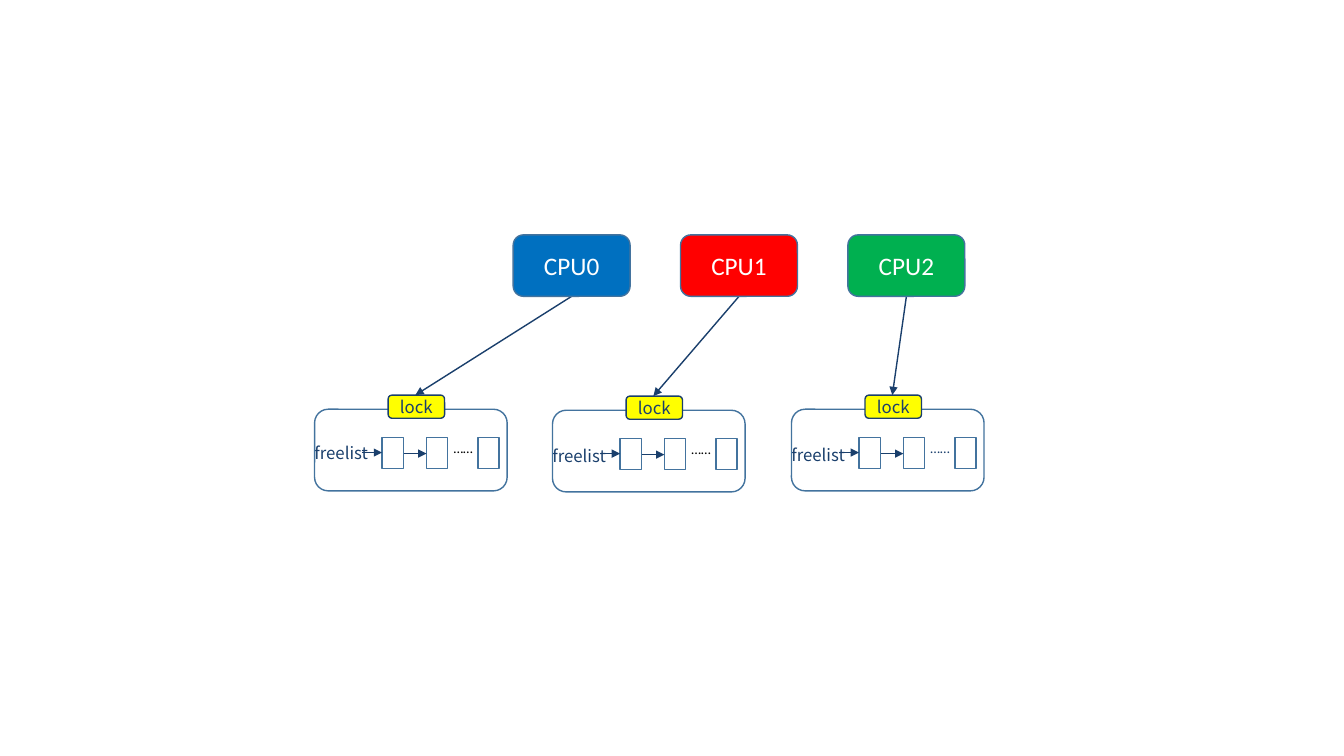
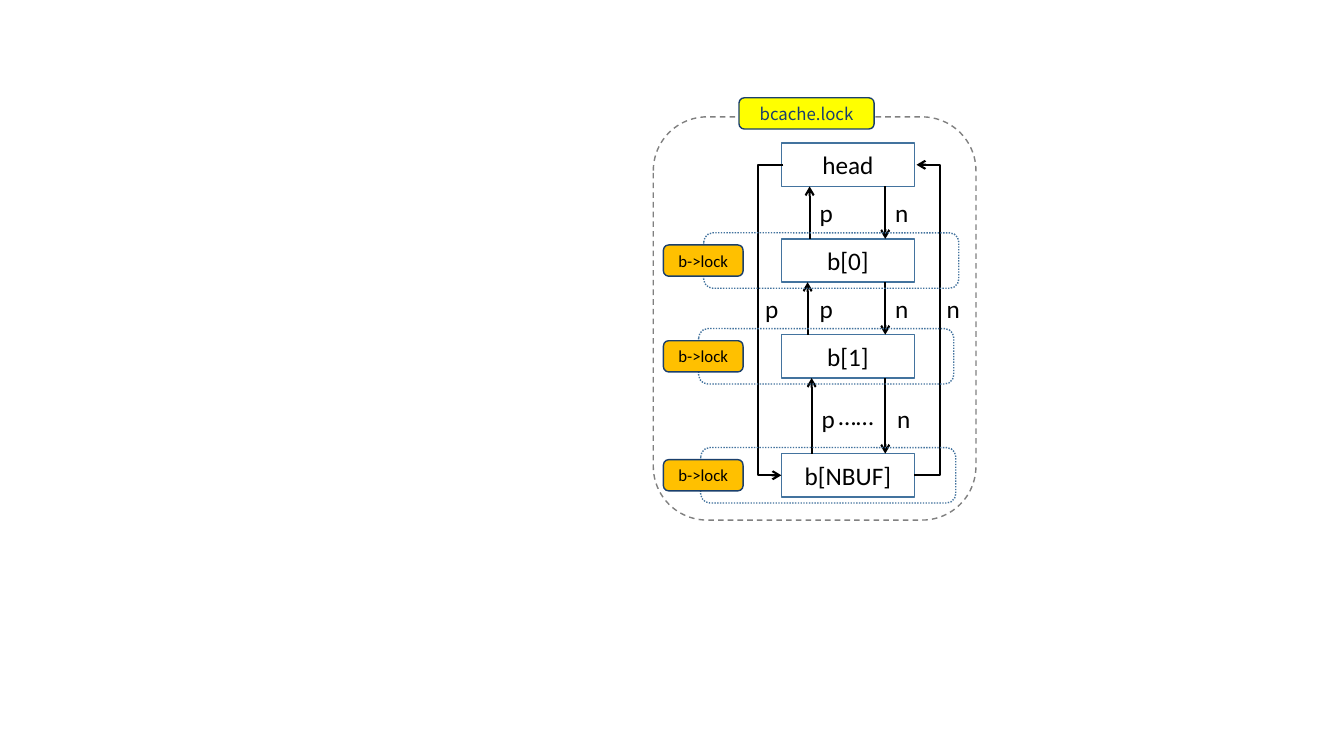
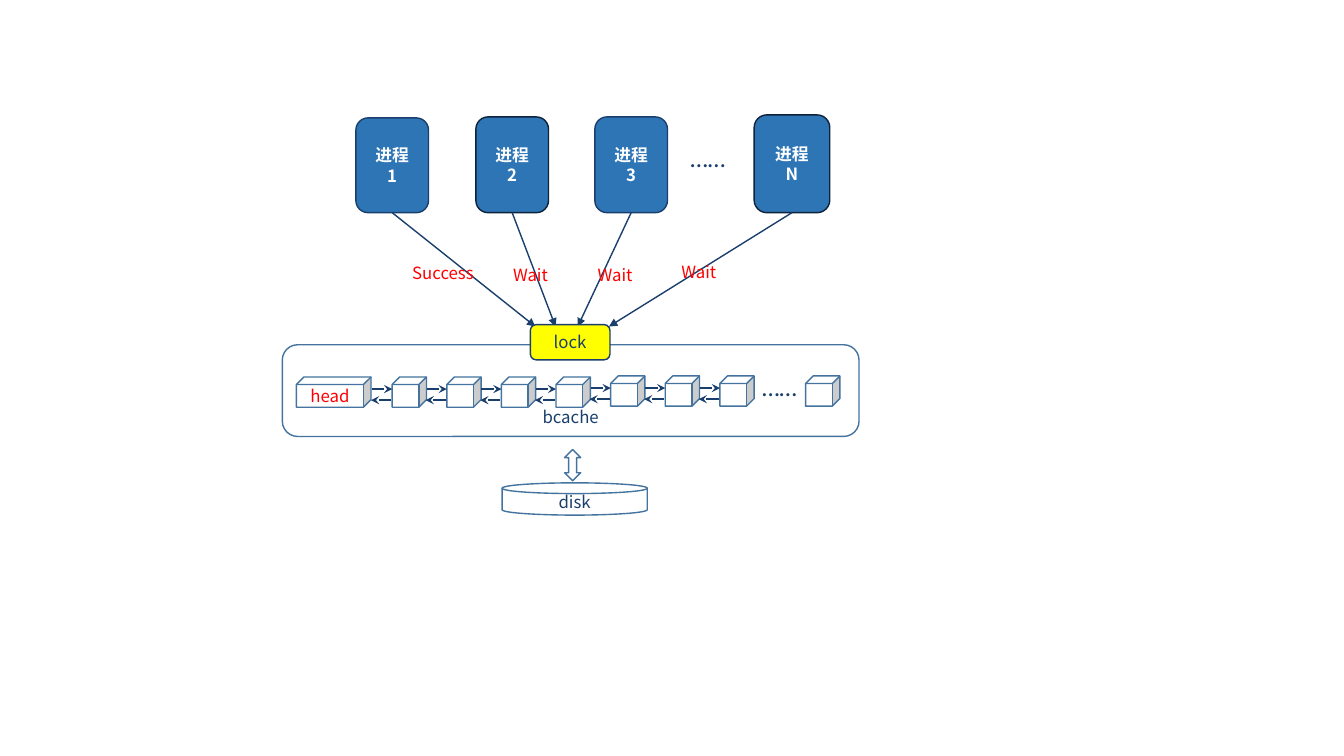
"""Three diagrams of locking: per-CPU free lists, buffer cache list, and contention on one lock."""
from lxml.etree import SubElement
from pptx import Presentation
from pptx.dml.color import RGBColor
from pptx.enum.dml import MSO_LINE
from pptx.enum.shapes import MSO_CONNECTOR, MSO_SHAPE
from pptx.enum.text import MSO_ANCHOR, PP_ALIGN
from pptx.oxml.ns import qn
from pptx.util import Inches, Pt

COLORS = {
    "white": "FFFFFF", "black": "000000", "navy": "1A3F6C", "edge": "43739E",
    "gray": "808080", "yellow": "FFFF00", "orange": "FFC000", "red": "FF0000",
    "blue": "0070C0", "green": "00B050", "process": "2E75B6", "dark": "0E223A",
}
LATIN, CJK = "Calibri", "Noto Sans CJK SC"
NOTE = (12, CJK, "navy")
ALERT = (12, CJK, "red")
NODE = (18, LATIN, "black")
DOTS = (18, LATIN, "navy")

CPUS = [("CPU0", "blue"), ("CPU1", "red"), ("CPU2", "green")]
CPU_LEFT, CPU_TOP, CPU_PITCH, CPU_W, CPU_H = 5.09, 2.33, 1.66, 1.16, 0.61
LANES = [(3.12, 4.06, 0.28, "black"), (5.48, 4.07, 0.3, "black"), (7.85, 4.06, 0.3, "navy")]

NODES = [("head", 1.42), ("b[0]", 2.37), ("b[1]", 3.32), ("b[NBUF]", 4.5)]
NODE_LEFT, NODE_W, NODE_H = 7.75, 1.32, 0.43
PREV_X, NEXT_X = (8.03, 8.01, 8.05), 8.78
LINK_LABELS = [(8.03, 1.91), (8.03, 2.86), (8.05, 3.95)]
GUARD_LEFTS = (6.98, 6.93, 6.95)

PROCESSES = [
    ("进程1", 3.53, 1.17, 0.72, "navy", 5.31, "Success", 3.99, 2.56, 0.83),
    ("进程2", 4.72, 1.16, 0.72, "dark", 5.51, "Wait", 4.99, 2.58, 0.58),
    ("进程3", 5.9, 1.16, 0.72, "navy", 5.73, "Wait", 5.83, 2.58, 0.58),
    ("进程N", 7.48, 1.14, 0.75, "dark", 6.04, "Wait", 6.66, 2.55, 0.58),
]
PROCESS_BOTTOM, LOCK_TOP = 2.11, 3.22
BUFFER_COUNT, BUFFER_LEFT, BUFFER_PITCH = 7, 3.89, 0.5417
BUFFER_W, BUFFER_H, BUFFER_GAP = 0.34, 0.3, 0.2


def color(key):
    return RGBColor.from_string(COLORS[key])


def write(frame, text, style, align, bold=False):
    size, font_name, ink = style
    paragraph = frame.paragraphs[0]
    paragraph.text = text
    paragraph.alignment = align
    font = paragraph.font
    font.size, font.name, font.bold = Pt(size), font_name, bold
    font.color.rgb = color(ink)
    if font_name == CJK:
        defaults = paragraph._p.find(qn("a:pPr")).find(qn("a:defRPr"))
        SubElement(defaults, qn("a:ea")).set("typeface", CJK)


def box(slide, kind, at, fill=None, edge="edge", text=None, style=NOTE,
        dash=None, bold=False, inset=0, anchor=MSO_ANCHOR.MIDDLE):
    shape = slide.shapes.add_shape(kind, *map(Inches, at))
    shape.shadow.inherit = False
    if fill:
        shape.fill.solid()
        shape.fill.fore_color.rgb = color(fill)
    else:
        shape.fill.background()
    shape.line.color.rgb = color(edge)
    shape.line.width = Pt(1)
    if dash:
        shape.line.dash_style = dash
    if text:
        frame = shape.text_frame
        frame.word_wrap = True
        frame.vertical_anchor = anchor
        frame.margin_left = frame.margin_right = Inches(inset)
        frame.margin_top = frame.margin_bottom = Inches(
            0.05 if anchor == MSO_ANCHOR.BOTTOM else 0)
        write(frame, text, style, PP_ALIGN.CENTER, bold)


def label(slide, at, text, style):
    frame = slide.shapes.add_textbox(*map(Inches, at)).text_frame
    frame.word_wrap = True
    write(frame, text, style, PP_ALIGN.LEFT)


def arrow(slide, start, end, ink="navy", width=1, tip="triangle", tip_at="tailEnd", bend=None):
    route = MSO_CONNECTOR.ELBOW if bend else MSO_CONNECTOR.STRAIGHT
    link = slide.shapes.add_connector(route, *map(Inches, (*start, *end)))
    link.line.color.rgb = color(ink)
    link.line.width = Pt(width)
    properties = link._element.spPr
    SubElement(properties.find(qn("a:ln")), qn("a:" + tip_at)).set("type", tip)
    SubElement(properties, qn("a:effectLst"))
    if bend:
        geometry = properties.find(qn("a:prstGeom"))
        guides = geometry.find(qn("a:avLst"))
        if guides is None:
            guides = SubElement(geometry, qn("a:avLst"))
        guide = SubElement(guides, qn("a:gd"))
        guide.set("name", "adj1")
        guide.set("fmla", f"val {round(bend * 100000)}")


def draw_free_lists(slide):
    for left, top, name_drop, dots_ink in LANES:
        for block in (0.67, 1.11, 1.62):
            box(slide, MSO_SHAPE.FLOWCHART_PROCESS,
                (left + block, top + 0.28, 0.21, 0.31), "white")
        arrow(slide, (left + 0.89, top + 0.44), (left + 1.11, top + 0.44))
        arrow(slide, (left + 0.47, top + 0.43), (left + 0.67, top + 0.43))
        label(slide, (left - 0.1, top + name_drop, 0.78, 0.3), "freelist", NOTE)
        label(slide, (left + 1.28, top + 0.25, 0.53, 0.28), "……", (10, LATIN, dots_ink))
        box(slide, MSO_SHAPE.ROUNDED_RECTANGLE, (left, top, 1.91, 0.81))
        box(slide, MSO_SHAPE.ROUNDED_RECTANGLE, (left + 0.73, top - 0.14, 0.56, 0.23),
            "yellow", "navy", "lock")
    for index, (name, fill) in enumerate(CPUS):
        left = CPU_LEFT + index * CPU_PITCH
        lane_left, lane_top = LANES[index][:2]
        arrow(slide, (left + CPU_W / 2, CPU_TOP + CPU_H), (lane_left + 1, lane_top - 0.14))
        box(slide, MSO_SHAPE.ROUNDED_RECTANGLE, (left, CPU_TOP, CPU_W, CPU_H),
            fill, text=name, style=(18, LATIN, "white"))


def draw_buffer_list(slide):
    pen = {"ink": "black", "width": 1.5, "tip": "arrow"}
    for name, top in NODES:
        box(slide, MSO_SHAPE.RECTANGLE, (NODE_LEFT, top, NODE_W, NODE_H), text=name, style=NODE)
    tops = [top for _, top in NODES]
    for upper, lower, prev_x, (label_x, label_y) in zip(tops, tops[1:], PREV_X, LINK_LABELS):
        arrow(slide, (prev_x, lower), (prev_x, upper + NODE_H), **pen)
        arrow(slide, (NEXT_X, upper + NODE_H), (NEXT_X, lower), **pen)
        label(slide, (label_x, label_y, 0.34, 0.4), "p", NODE)
        label(slide, (label_x + 0.75, label_y, 0.34, 0.4), "n", NODE)
    first, last = (top + NODE_H / 2 for top in (tops[0], tops[-1]))
    right = NODE_LEFT + NODE_W
    arrow(slide, (NODE_LEFT + 0.02, first), (NODE_LEFT, last), bend=12.5, **pen)
    arrow(slide, (right, last), (right + 0.02, first), bend=12.5, **pen)
    label(slide, (7.49, 2.86, 0.34, 0.4), "p", NODE)
    label(slide, (9.29, 2.86, 0.34, 0.4), "n", NODE)
    label(slide, (8.22, 3.92, 0.6, 0.4), "……", NODE)
    box(slide, MSO_SHAPE.ROUNDED_RECTANGLE, (6.48, 1.16, 3.2, 4), edge="gray", dash=MSO_LINE.DASH)
    box(slide, MSO_SHAPE.ROUNDED_RECTANGLE, (7.33, 0.97, 1.34, 0.31),
        "yellow", "navy", "bcache.lock")
    for left, top in zip(GUARD_LEFTS, tops[1:]):
        box(slide, MSO_SHAPE.ROUNDED_RECTANGLE, (left, top - 0.06, 2.53, 0.55),
            dash=MSO_LINE.ROUND_DOT)
        box(slide, MSO_SHAPE.ROUNDED_RECTANGLE, (6.58, top + 0.06, 0.79, 0.31),
            "orange", "navy", "b->lock", (12, LATIN, "black"))


def draw_contention(slide):
    box(slide, MSO_SHAPE.FLOWCHART_MAGNETIC_DISK, (4.98, 4.79, 1.44, 0.32), text="disk")
    box(slide, MSO_SHAPE.CUBE, (2.94, 3.74, 0.74, BUFFER_H), "white", text="head", style=ALERT)
    for index in range(BUFFER_COUNT):
        left = BUFFER_LEFT + index * BUFFER_PITCH
        top = 3.74 if index < 4 else 3.73
        box(slide, MSO_SHAPE.CUBE, (left, top, BUFFER_W, BUFFER_H), "white")
        for drop, shift, tip_at in ((0.12, 0, "tailEnd"), (0.23, -0.01, "headEnd")):
            end = left + shift
            arrow(slide, (end - BUFFER_GAP, top + drop), (end, top + drop),
                  tip="stealth", tip_at=tip_at)
    box(slide, MSO_SHAPE.CUBE, (7.99, 3.73, BUFFER_W, BUFFER_H), "white")
    label(slide, (7.46, 3.63, 0.88, 0.4), "……", DOTS)
    label(slide, (6.75, 1.36, 0.67, 0.4), "……", DOTS)
    for name, left, top, width, edge, target, result, text_x, text_y, text_w in PROCESSES:
        box(slide, MSO_SHAPE.ROUNDED_RECTANGLE, (left, top, width, PROCESS_BOTTOM - top),
            "process", edge, name, (12, CJK, "white"), bold=True, inset=0.12)
        arrow(slide, (left + width / 2, PROCESS_BOTTOM), (target, LOCK_TOP + 0.02))
        label(slide, (text_x, text_y, text_w, 0.3), result, ALERT)
    box(slide, MSO_SHAPE.ROUNDED_RECTANGLE, (2.8, 3.42, 5.72, 0.91),
        text="bcache", anchor=MSO_ANCHOR.BOTTOM)
    box(slide, MSO_SHAPE.ROUNDED_RECTANGLE, (5.26, LOCK_TOP, 0.79, 0.35), "yellow", "navy", "lock")
    box(slide, MSO_SHAPE.UP_DOWN_ARROW, (5.6, 4.46, 0.16, 0.31))


def main():
    deck = Presentation()
    deck.slide_width, deck.slide_height = Inches(13.33), Inches(7.5)
    for draw in (draw_free_lists, draw_buffer_list, draw_contention):
        draw(deck.slides.add_slide(deck.slide_layouts[6]))
    deck.save("out.pptx")


if __name__ == "__main__":
    main()
